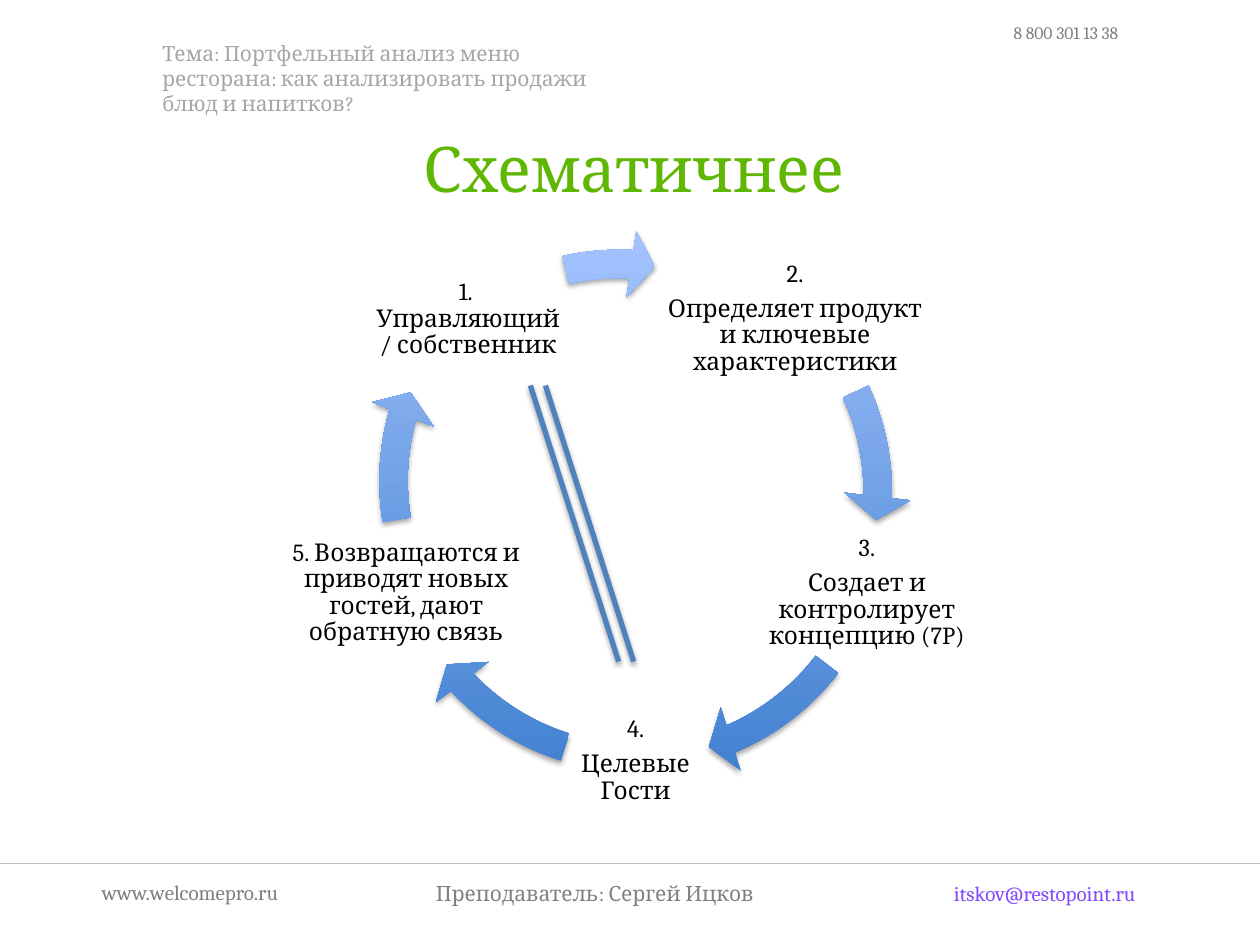
from dataclasses import dataclass

from lxml import etree
from pptx import Presentation
from pptx.dml.color import RGBColor
from pptx.enum import shapes, text
from pptx.oxml.ns import qn
from pptx.util import Pt


@dataclass(frozen=True)
class Theme:
    font: str = "Cambria"
    title: str = "5FB704"
    label: str = "000000"
    topic: str = "A6A6A6"
    footer: str = "808080"
    email: str = "8249FF"
    rule: str = "BFBFBF"
    link: str = "4F81BD"
    arrow_bottom: str = "3F7FCE"
    arrow_top: str = "A4C4FF"
    title_size: float = 36
    label_size: float = 14
    small_size: float = 12
    phone_size: float = 10


THEME = Theme()
CENTER = text.PP_ALIGN.CENTER
MIDDLE = text.MSO_ANCHOR.MIDDLE
LABEL_HEIGHT = 82.8
ARROW_SIZE = 311.8
HEAD_ANGLE = 5.59

# left, top, width, paragraphs
LABELS = [
    (211.7, 141.1, 111.6, ["1. \nУправляющий / собственник"]),
    (374.4, 140.4, 159.8, ["2.", "Определяет продукт и ключевые характеристики"]),
    (423.4, 297.4, 144, ["3.", "Создает и контролирует концепцию (7P)"]),
    (321.8, 393.1, 82.8, ["4.", "Целевые Гости"]),
    (152.6, 297.4, 159.1, ["5. Возвращаются и приводят новых гостей, дают обратную связь"]),
]

# left, top, start angle, end angle (degrees clockwise from the right)
ARROWS = [
    (198, 131.8, 257.05, 272.92),
    (208.8, 125.3, 335.23, 1.08),
    (208.1, 140.4, 37.53, 66.95),
    (208.1, 140.4, 107.46, 136.88),
    (205.9, 118.8, 170.62, 196.05),
]


def points(*values):
    return [Pt(value) for value in values]


def set_all(target, **values):
    for name, value in values.items():
        setattr(target, name, value)


def style_span(span, size, color):
    set_all(span.font, name=THEME.font, size=Pt(size))
    span.font.color.rgb = RGBColor.from_string(color)


def write(para, words, size, color, **layout):
    """Fill a paragraph and give its runs and line breaks one style."""
    para.text = words
    set_all(para, **layout)
    for span in para.runs:
        style_span(span, size, color)
    for line_break in para._p.findall(qn("a:br")):
        etree.SubElement(line_break, qn("a:rPr"), sz=str(size * 100))


def add_box(page, place, inset=(7.2, 3.6), **frame_values):
    box = page.shapes.add_textbox(*points(*place))
    side, end = points(*inset)
    set_all(box.text_frame, word_wrap=True, margin_left=side, margin_right=side,
            margin_top=end, margin_bottom=end, **frame_values)
    return box.text_frame


def set_shadow(item, alpha=None, distance=0):
    """Give an item a soft shadow below, or none when alpha is missing."""
    properties = item._element.spPr
    effects = properties.find(qn("a:effectLst"))
    if effects is None:
        effects = etree.SubElement(properties, qn("a:effectLst"))
    if alpha is not None:
        outer = etree.SubElement(effects, qn("a:outerShdw"), blurRad=str(Pt(3.1)),
                                 dist=str(Pt(distance)), dir="5400000", rotWithShape="0")
        color = etree.SubElement(outer, qn("a:srgbClr"), val="000000")
        etree.SubElement(color, qn("a:alpha"), val=str(alpha * 1000))


def add_line(page, start, end, color, width):
    line = page.shapes.add_connector(shapes.MSO_CONNECTOR.STRAIGHT,
                                     *points(*start, *end))
    line.line.color.rgb = RGBColor.from_string(color)
    line.line.width = Pt(width)
    return line


def add_title(page):
    title = page.shapes.title
    left, top, width, height = points(38.2, 61.9, 648, 67.7)
    set_all(title, left=left, top=top, width=width, height=height)
    title.text_frame.vertical_anchor = MIDDLE
    write(title.text_frame.paragraphs[0], "Схематичнее", THEME.title_size,
          THEME.title, alignment=CENTER)


def add_label(page, left, top, width, lines):
    frame = add_box(page, (left, top, width, LABEL_HEIGHT), (1.4, 1.4),
                    vertical_anchor=MIDDLE)
    for index, words in enumerate(lines):
        para = frame.add_paragraph() if index else frame.paragraphs[0]
        write(para, words, THEME.label_size, THEME.label, alignment=CENTER,
              line_spacing=0.9, space_after=Pt(4.9))


def add_cycle_arrow(page, left, top, start, end):
    arrow = page.shapes.add_shape(shapes.MSO_SHAPE.CIRCULAR_ARROW,
                                  *points(left, top, ARROW_SIZE, ARROW_SIZE))
    arrow.adjustments[0] = 0.052
    for index, angle in enumerate((HEAD_ANGLE, end, start), 1):
        arrow.adjustments[index] = angle * 0.6  # 60000 units a degree, over 100000
    arrow.adjustments[4] = 0.061
    arrow.fill.gradient()
    arrow.fill.gradient_angle = 90
    stops = zip(arrow.fill.gradient_stops, (0, 1), (THEME.arrow_bottom, THEME.arrow_top))
    for stop, position, color in stops:
        stop.position = position
        stop.color.rgb = RGBColor.from_string(color)
    arrow.line.fill.background()
    arrow.shadow.inherit = False
    set_shadow(arrow, 35, 1.8)


def add_cycle(page):
    for label in LABELS:
        add_label(page, *label)
    for arrow in ARROWS:
        add_cycle_arrow(page, *arrow)
    for offset in (0, 8.6):
        link = add_line(page, (303.1 + offset, 220.3), (353.5 + offset, 378),
                        THEME.link, 3)
        set_shadow(link, 38, 1.6)


def add_header(page):
    phone = add_box(page, (546.5, 7.9, 125.3, 21.6), (5, 2.9), vertical_anchor=MIDDLE)
    write(phone.paragraphs[0], "8 800 301 13 38", THEME.phone_size, THEME.footer,
          alignment=CENTER)
    topic = add_box(page, (85.7, 19.4, 285.8, 36),
                    auto_size=text.MSO_AUTO_SIZE.SHAPE_TO_FIT_TEXT)
    write(topic.paragraphs[0],
          "Тема: Портфельный анализ меню ресторана: как анализировать продажи "
          "блюд и напитков?", THEME.small_size, THEME.topic)


def add_footer(page):
    set_shadow(add_line(page, (0, 493.2), (720, 493.2), THEME.rule, 0.25))
    teacher = add_box(page, (244.1, 495.4, 475.9, 29.5), (5, 2.9), vertical_anchor=MIDDLE)
    para = teacher.paragraphs[0]
    tabs = etree.SubElement(para._p.get_or_add_pPr(), qn("a:tabLst"))
    etree.SubElement(tabs, qn("a:tab"), pos=str(Pt(296)), algn="l")
    write(para, "Преподаватель: Сергей Ицков\t", THEME.small_size, THEME.footer)
    email = para.add_run()
    email.text = "itskov@restopoint.ru"
    style_span(email, THEME.small_size, THEME.email)
    site = add_box(page, (51.1, 500.4, 138.2, 18.7), vertical_anchor=MIDDLE)
    write(site.paragraphs[0], "www.welcomepro.ru", THEME.small_size, THEME.footer)


def main():
    deck = Presentation()
    set_all(deck, slide_width=Pt(720), slide_height=Pt(540))
    page = deck.slides.add_slide(deck.slide_layouts[5])
    add_title(page)
    add_cycle(page)
    add_header(page)
    add_footer(page)
    deck.save("out.pptx")


if __name__ == "__main__":
    main()
